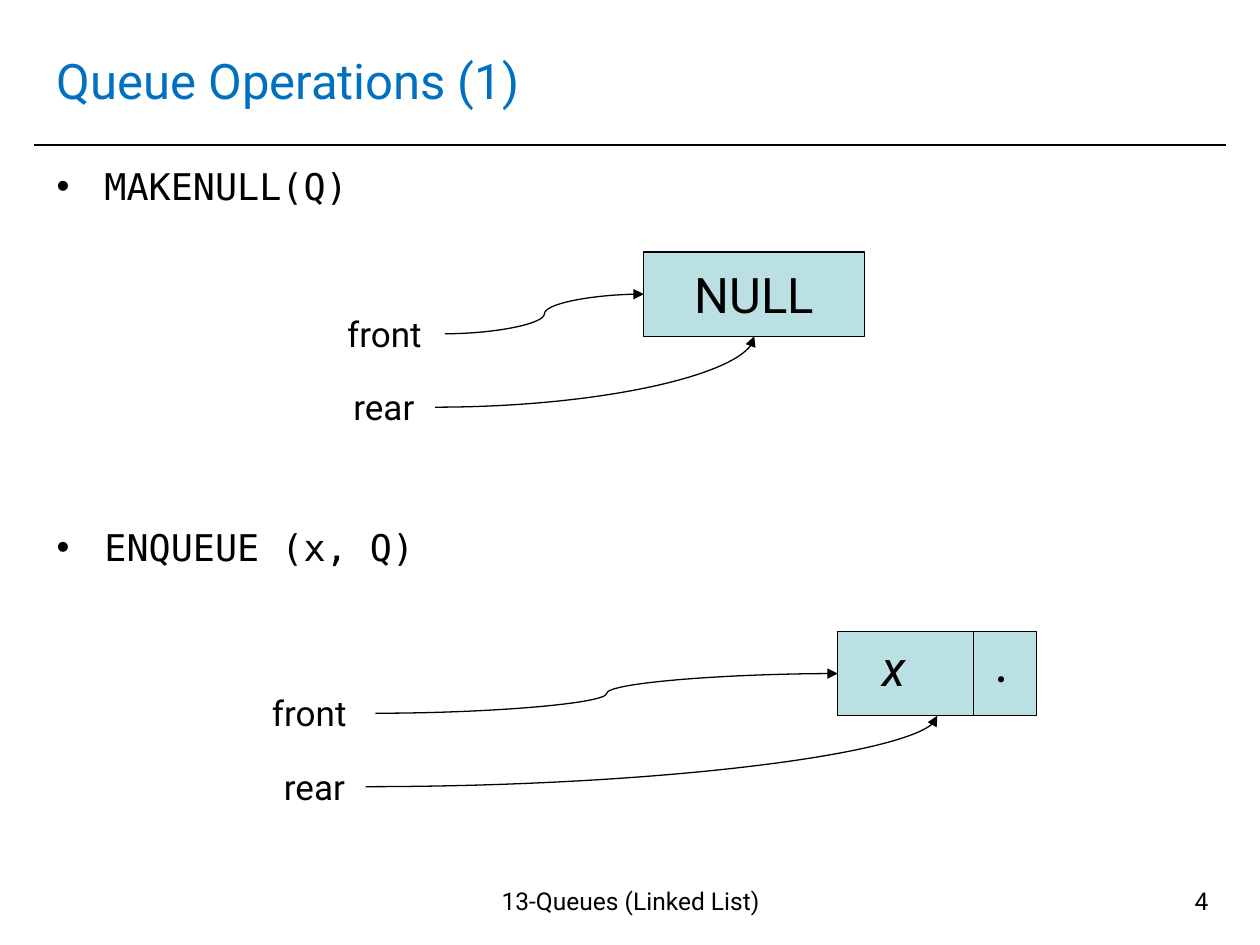
from pptx import Presentation
from pptx.dml.color import RGBColor
from pptx.enum.shapes import MSO_CONNECTOR, MSO_SHAPE
from pptx.enum.text import MSO_ANCHOR, MSO_AUTO_SIZE, PP_ALIGN
from pptx.oxml.ns import qn
from pptx.util import Cm, Pt
from lxml import etree

BLACK = RGBColor(0x00, 0x00, 0x00)
TITLE_BLUE = RGBColor(0x00, 0x70, 0xC0)
NODE_FILL = RGBColor(0xBB, 0xE0, 0xE3)
SANS = "Roboto"
MONO = "DejaVu Sans Mono"
LEFT, CENTER, RIGHT = PP_ALIGN.LEFT, PP_ALIGN.CENTER, PP_ALIGN.RIGHT
STRAIGHT, CURVE = MSO_CONNECTOR.STRAIGHT, MSO_CONNECTOR.CURVE
RECTANGLE = MSO_SHAPE.RECTANGLE
TOP, MIDDLE = MSO_ANCHOR.TOP, MSO_ANCHOR.MIDDLE
NO_AUTOFIT = MSO_AUTO_SIZE.NONE
# Connection sites of a rectangle
SITE_LEFT, SITE_BOTTOM, SITE_RIGHT = 1, 2, 3


class QueueSlide:
    def __init__(self, presentation):
        self.slide = presentation.slides.add_slide(presentation.slide_layouts[1])
        self.shapes = self.slide.shapes

    def place(self, shape, left, top, width, height):
        shape.left, shape.top = Cm(left), Cm(top)
        shape.width, shape.height = Cm(width), Cm(height)

    def add_text(self, paragraph, text, size, font=SANS, color=BLACK, italic=False):
        run = paragraph.add_run()
        run.text = text
        run.font.name = font
        run.font.size = Pt(size)
        run.font.color.rgb = color
        run.font.italic = italic

    def title(self, text, *bounds):
        title = self.shapes.title
        self.place(title, *bounds)
        frame = title.text_frame
        frame.auto_size = NO_AUTOFIT
        frame.vertical_anchor = MIDDLE
        frame.paragraphs[0].alignment = LEFT
        self.add_text(frame.paragraphs[0], text, 28, color=TITLE_BLUE)

    def bullets(self, items, gap, *bounds):
        """List the items with room for a diagram (gap in points) between them."""
        body = self.slide.placeholders[1]
        self.place(body, *bounds)
        frame = body.text_frame
        frame.auto_size = NO_AUTOFIT
        for index, item in enumerate(items):
            paragraph = frame.add_paragraph() if index else frame.paragraphs[0]
            properties = paragraph._p.get_or_add_pPr()
            properties.set("marL", str(Cm(0.96)))
            properties.set("indent", str(-Cm(0.96)))
            etree.SubElement(properties, qn("a:buFont")).set("typeface", "Arial")
            etree.SubElement(properties, qn("a:buChar")).set("char", "•")
            paragraph.space_before = Pt(gap if index else 0)
            self.add_text(paragraph, item, 21, MONO)

    def label(self, text, left, top, width, height, size=20, align=CENTER, italic=False):
        label = self.shapes.add_textbox(Cm(left), Cm(top), Cm(width), Cm(height))
        frame = label.text_frame
        frame.word_wrap = True
        frame.vertical_anchor = TOP
        frame.paragraphs[0].alignment = align
        self.add_text(frame.paragraphs[0], text, size, italic=italic)
        return label

    def node(self, left, top, width, height, text=""):
        node = self.shapes.add_shape(RECTANGLE, Cm(left), Cm(top), Cm(width), Cm(height))
        node.shadow.inherit = False
        node.fill.solid()
        node.fill.fore_color.rgb = NODE_FILL
        node.line.color.rgb = BLACK
        node.line.width = Pt(0.75)
        if text:
            frame = node.text_frame
            frame.word_wrap = False
            frame.vertical_anchor = MIDDLE
            frame.paragraphs[0].alignment = CENTER
            self.add_text(frame.paragraphs[0], text, 28)
        return node

    def line(self, x1, y1, x2, y2, weight=0.75, kind=STRAIGHT):
        line = self.shapes.add_connector(kind, Cm(x1), Cm(y1), Cm(x2), Cm(y2))
        line.line.color.rgb = BLACK
        line.line.width = Pt(weight)
        etree.SubElement(line._element.spPr, qn("a:effectLst"))
        return line

    def pointer(self, label, node, site):
        """Curve from the right of a label to a node, arriving at the given site."""
        arrow = self.line(0, 0, 0, 0, kind=CURVE)
        arrow.begin_connect(label, SITE_RIGHT)
        arrow.end_connect(node, site)
        properties = arrow._element.spPr
        if site == SITE_BOTTOM:
            properties.find(qn("a:prstGeom")).set("prst", "curvedConnector2")
        outline = properties.find(qn("a:ln"))
        etree.SubElement(outline, qn("a:tailEnd")).set("type", "triangle")

    def queue(self, node, node_top, front_left, front_width, rear_left):
        """Point the front and rear labels at a node."""
        front = self.label("front", front_left, node_top + 1.09, front_width, 1.12)
        rear = self.label("rear", rear_left, node_top + 2.57, 2.06, 1.12)
        self.pointer(front, node, SITE_LEFT)
        self.pointer(rear, node, SITE_BOTTOM)


def main():
    presentation = Presentation()
    presentation.slide_width, presentation.slide_height = Cm(25.4), Cm(19.05)
    page = QueueSlide(presentation)

    page.line(0.69, 2.92, 24.71, 2.92, weight=1)
    page.title("Queue Operations (1)", 0.89, 0.53, 23.6, 2.16)
    page.bullets(["MAKENULL(Q)", "ENQUEUE (x, Q)"], 181, 0.89, 3.18, 23.6, 14.14)
    page.label("13-Queues (Linked List)", 8.51, 17.73, 8.41, 1.32, size=14)
    page.label("4", 18.69, 17.73, 5.92, 1.32, size=14, align=RIGHT)

    empty_top, enqueued_top, node_height = 5.08, 12.73, 1.7
    empty = page.node(12.98, empty_top, 4.45, node_height, "NULL")
    page.queue(empty, empty_top, 6.53, 2.44, 6.71)

    enqueued = page.node(16.89, enqueued_top, 4.01, node_height)
    page.queue(enqueued, enqueued_top, 4.9, 2.67, 5.31)
    page.line(19.63, enqueued_top, 19.63, enqueued_top + node_height)
    page.label(".", 19.84, 12.5, 0.84, 1.6, size=32, align=LEFT, italic=True)
    page.label("x", 17.53, enqueued_top, 0.84, 1.45, size=28, align=LEFT, italic=True)

    presentation.save("out.pptx")


if __name__ == "__main__":
    main()
